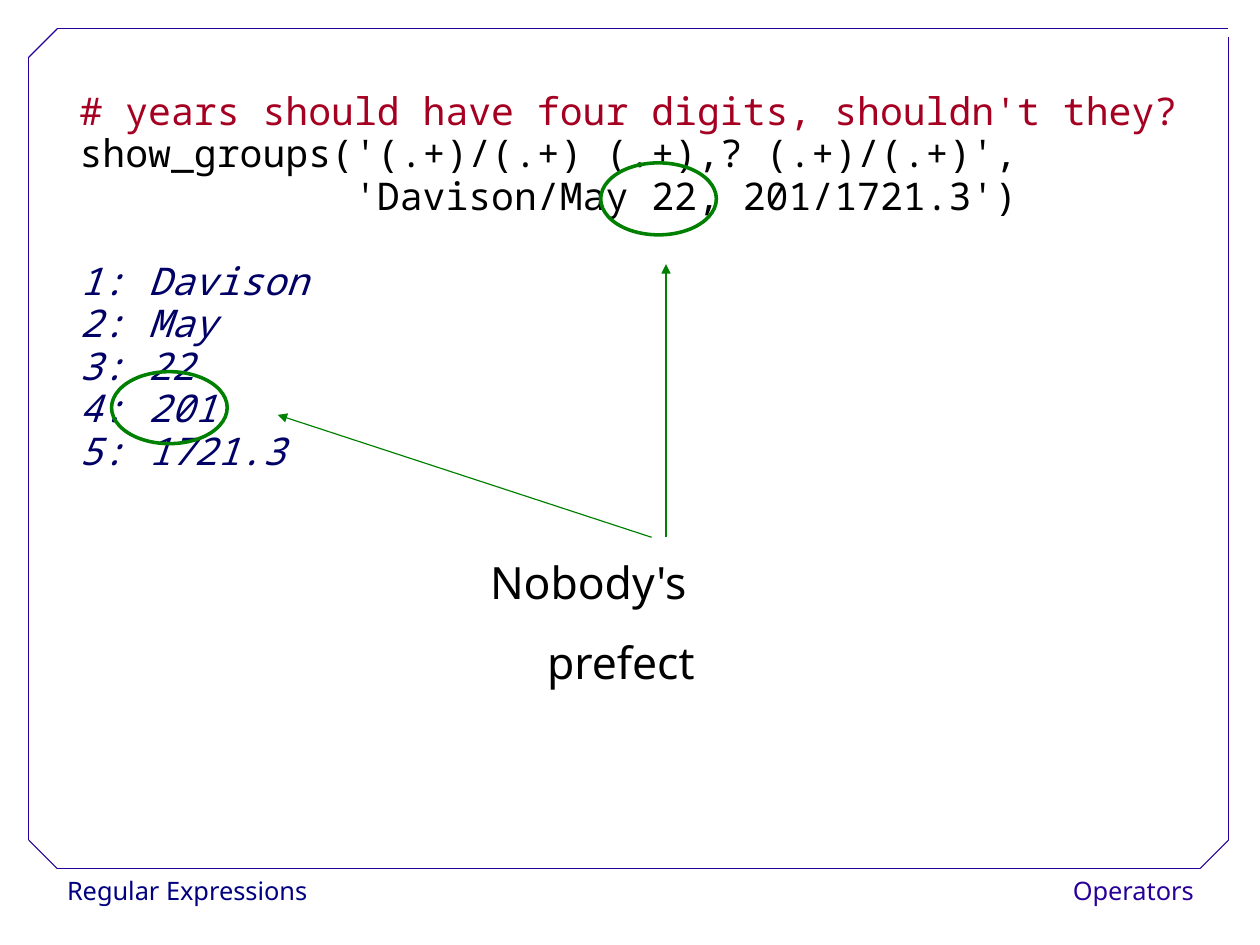
from pptx import Presentation
from pptx.dml.color import RGBColor
from pptx.enum.shapes import MSO_CONNECTOR, MSO_SHAPE
from pptx.enum.text import MSO_ANCHOR, PP_ALIGN
from pptx.oxml.ns import qn
from pptx.util import Cm, Pt
from lxml.etree import SubElement

HUES = {
    "white": "FFFFFF",
    "black": "000000",
    "navy": "000080",
    "frame": "280099",
    "note": "A50021",
    "result": "000066",
    "mark": "008000",
}
SANS = "Noto Sans"
MONO = "Noto Sans Mono"
CODE = [
    "# years should have four digits, shouldn't they?",
    "show_groups('(.+)/(.+) (.+),? (.+)/(.+)',",
    "            'Davison/May 22, 201/1721.3')",
]
GROUPS = ["Davison", "May", "22", "201", "1721.3"]


def hue(name):
    return RGBColor.from_string(HUES[name])


def style(para, font, size, color, space, slant=False):
    para.line_spacing = space
    for run in para.runs:
        run.font.name = font
        run.font.size = Pt(size)
        run.font.color.rgb = hue(color)
        run.font.italic = slant


def add_text(slide, box, text):
    frame = slide.shapes.add_textbox(*map(Cm, box)).text_frame
    frame.word_wrap = True
    frame.text = text
    return frame


def add_line(slide, start, end, color, arrow=False):
    line = slide.shapes.add_connector(
        MSO_CONNECTOR.STRAIGHT, *map(Cm, start + end))
    line.line.color.rgb = hue(color)
    line.line.width = Pt(0.75)
    if arrow:
        SubElement(line.line._get_or_add_ln(), qn("a:tailEnd"), type="triangle")
    SubElement(line._element.spPr, qn("a:effectLst"))


def add_label(slide, box, text, color, align):
    shape = slide.shapes.add_shape(MSO_SHAPE.RECTANGLE, *map(Cm, box))
    shape.shadow.inherit = False
    shape.fill.solid()
    shape.fill.fore_color.rgb = hue("white")
    shape.line.fill.background()
    frame = shape.text_frame
    frame.word_wrap = False
    frame.vertical_anchor = MSO_ANCHOR.TOP
    frame.text = text
    para = frame.paragraphs[0]
    para.alignment = align
    style(para, SANS, 16, color, 1.02)


def add_frame(slide, box):
    left, top, width, height = box
    right, base = left + width, top + height
    cut = 0.63
    edges = [
        ((left + cut, base), (right - cut, base)),
        ((left, base - cut), (left, top + cut)),
        ((left + cut, top), (right, top)),
        ((right, base - cut), (right, top + 0.18)),
        ((left, top + cut), (left + cut, top)),
        ((right - cut, base), (right, base - cut)),
        ((left, base - cut), (left + cut, base)),
    ]
    for start, end in edges:
        add_line(slide, start, end, "frame")


def add_code(slide, box):
    results = [f"{i}: {word}" for i, word in enumerate(GROUPS, 1)]
    frame = add_text(slide, box, "\n".join(CODE + results))
    for i, para in enumerate(frame.paragraphs):
        color = "note" if i == 0 else "black" if i < len(CODE) else "result"
        style(para, MONO, 24, color, 0.93, i >= len(CODE))
    frame.paragraphs[len(CODE)].space_before = Pt(26.8)


def add_remark(slide, box):
    para = add_text(slide, box, "Nobody's prefect").paragraphs[0]
    props = para._p.get_or_add_pPr()
    props.set("marL", str(Cm(1.27)))
    props.set("indent", str(-Cm(1.27)))
    style(para, SANS, 28, "black", 1.5)


def add_ring(slide, box):
    ring = slide.shapes.add_shape(MSO_SHAPE.OVAL, *map(Cm, box))
    ring.shadow.inherit = False
    ring.fill.background()
    ring.line.color.rgb = hue("mark")
    ring.line.width = Pt(2.25)


def main():
    deck = Presentation()
    deck.slide_width, deck.slide_height = Cm(28), Cm(21)
    slide = deck.slides.add_slide(deck.slide_layouts[6])
    add_label(slide, (1.24, 19.3, 5.46, 1.02), "Regular Expressions",
              "navy", PP_ALIGN.LEFT)
    add_label(slide, (23.22, 19.3, 3.56, 1.02), "Operators",
              "frame", PP_ALIGN.RIGHT)
    add_frame(slide, (0.64, 0.64, 26.66, 18.66))
    add_code(slide, (1.52, 1.9, 25.2, 16.28))
    add_remark(slide, (10.64, 11.61, 8.33, 3.81))
    for left, top in [(13.35, 3.62), (2.48, 8.26)]:
        add_ring(slide, (left, top, 2.57, 1.6))
    add_line(slide, (14.8, 11.94), (14.8, 5.87), "mark", True)
    add_line(slide, (14.48, 11.94), (6.17, 9.22), "mark", True)
    deck.save("out.pptx")


if __name__ == "__main__":
    main()
